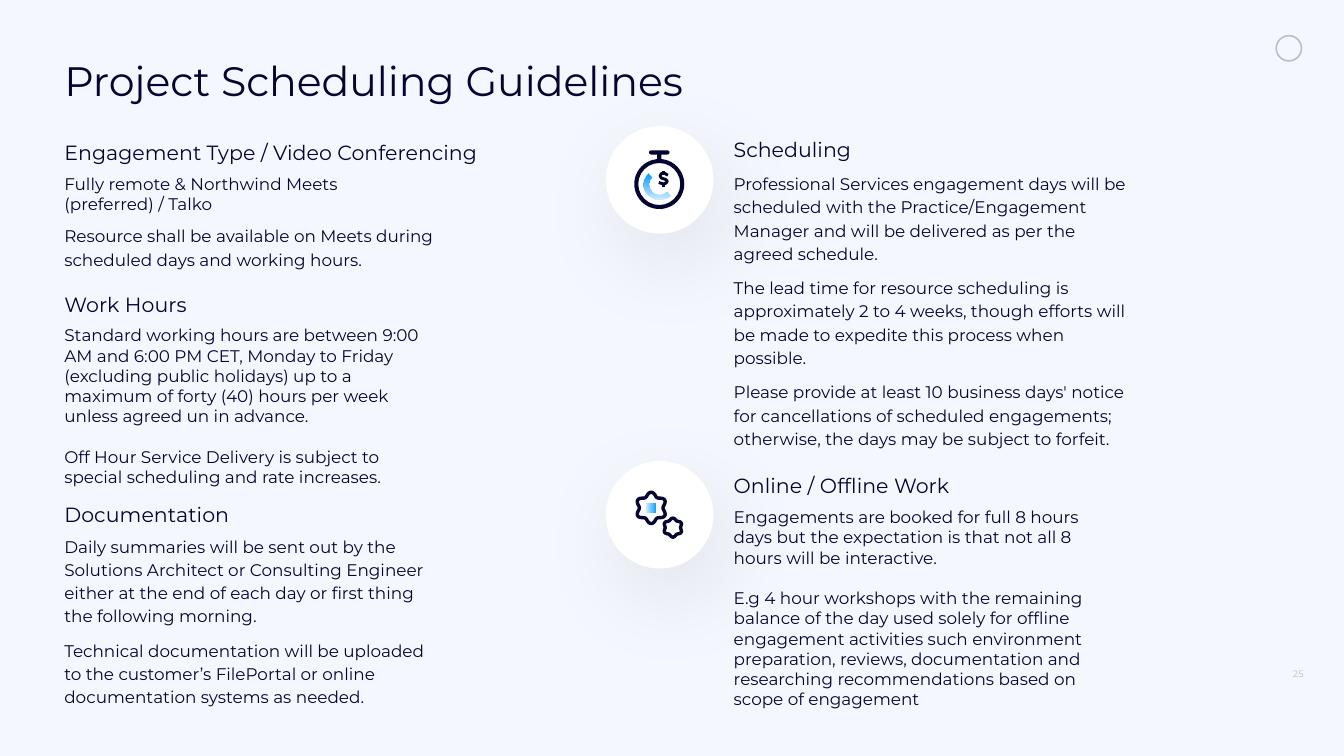
from math import cos, pi, sin

from lxml.etree import SubElement
from pptx import Presentation
from pptx.dml.color import RGBColor
from pptx.enum.shapes import MSO_SHAPE as SHAPE
from pptx.enum.text import MSO_ANCHOR as ANCHOR, MSO_AUTO_SIZE as AUTO, PP_ALIGN as ALIGN
from pptx.oxml.ns import qn
from pptx.util import Pt

NAVY, GREY, BLUE, WHITE, PALE = "040531", "BABDCE", "0099FF", "FFFFFF", "F5F7FF"
FONT = "Montserrat"


def rgb(value):
    return RGBColor.from_string(value)


def apply(obj, values):
    for name, value in values.items():
        setattr(obj, name, value)


class Deck:
    def __init__(self, width, height):
        self.prs = Presentation()
        apply(self.prs, {"slide_width": Pt(width), "slide_height": Pt(height)})
        self.s = None

    def new_slide(self, background):
        self.s = self.prs.slides.add_slide(self.prs.slide_layouts[5])
        self.s.background.fill.solid()
        self.s.background.fill.fore_color.rgb = rgb(background)

    def set_text(self, sp, lines, size, insets, color=NAVY, anchor=ANCHOR.TOP,
                 align=ALIGN.LEFT, gap=0, spacing=1.0, first_spacing=None):
        """Fill a shape with paragraphs; gap is the space between them."""
        tf = sp.text_frame
        left, top, right, bottom = (Pt(v) for v in insets)
        apply(tf, {"word_wrap": True, "auto_size": AUTO.NONE, "vertical_anchor": anchor,
                   "margin_left": left, "margin_top": top,
                   "margin_right": right, "margin_bottom": bottom})
        for i, line in enumerate(lines):
            p = tf.add_paragraph() if i else tf.paragraphs[0]
            apply(p, {"alignment": align, "space_before": Pt(gap if i else 0),
                      "line_spacing": spacing if i else first_spacing or spacing})
            r = p.add_run()
            r.text = line
            apply(r.font, {"name": FONT, "size": Pt(size), "bold": False})
            r.font.color.rgb = rgb(color)

    def title(self, box, text):
        sp = self.s.shapes.title
        apply(sp, dict(zip(("left", "top", "width", "height"), map(Pt, box))))
        self.set_text(sp, [text], 22, (0, 3.6, 7.2, 3.6))

    def text(self, box, lines, size, insets, **style):
        self.set_text(self.s.shapes.add_textbox(*map(Pt, box)), lines, size, insets, **style)

    def shape(self, kind, box, fill, adjust=()):
        sp = self.s.shapes.add_shape(kind, *map(Pt, box))
        sp.shadow.inherit = False
        for i, value in enumerate(adjust):
            sp.adjustments[i] = value
        sp.fill.solid()
        sp.fill.fore_color.rgb = rgb(fill)
        sp.line.fill.background()
        return sp

    def fade(self, sp, angle):
        """Blue gradient that starts almost transparent."""
        sp.fill.gradient()
        sp.fill.gradient_angle = angle
        for stop in sp.fill.gradient_stops:
            stop.color.rgb = rgb(BLUE)
        first = next(sp._element.spPr.iter(qn("a:srgbClr")))
        SubElement(first, qn("a:alpha"), val="16000")

    def disc(self, x, y, size):
        """White circle with a wide soft shadow."""
        sp = self.shape(SHAPE.OVAL, (x, y, size, size), WHITE)
        effects = sp._element.spPr.find(qn("a:effectLst"))
        shadow = SubElement(effects, qn("a:outerShdw"), blurRad=str(int(Pt(48.4))),
                            dist=str(int(Pt(16.5))), dir=str(68 * 60000),
                            algn="ctr", rotWithShape="0")
        color = SubElement(shadow, qn("a:srgbClr"), val="000000")
        SubElement(color, qn("a:alpha"), val="7000")

    def stroke(self, points, width, close=False):
        pts = [(Pt(x), Pt(y)) for x, y in points]
        builder = self.s.shapes.build_freeform(*pts[0], scale=1.0)
        builder.add_line_segments(pts[1:], close=close)
        sp = builder.convert_to_shape()
        sp.shadow.inherit = False
        sp.fill.background()
        sp.line.color.rgb = rgb(NAVY)
        sp.line.width = Pt(width)

    def gear(self, cx, cy, radius, tooth):
        """Six-toothed wavy outline."""
        steps = 72
        points = []
        for i in range(steps):
            a = 2 * pi * i / steps
            r = radius + tooth * cos(6 * a)
            points.append((cx + r * sin(a), cy - r * cos(a)))
        self.stroke(points, 1.8, close=True)

    def stopwatch(self, cx, cy):
        def ring_box(r):
            return cx - r, cy - r, 2 * r, 2 * r

        self.shape(SHAPE.DONUT, ring_box(13.4), NAVY, [0.08])
        self.shape(SHAPE.RECTANGLE, (cx - 1.1, cy - 16.5, 2.2, 4), NAVY)
        self.shape(SHAPE.ROUNDED_RECTANGLE, (cx - 5.5, cy - 18, 11, 2.2), NAVY, [0.5])
        # Angles of the arc: 45 to 225 degrees
        arc = self.shape(SHAPE.BLOCK_ARC, ring_box(8.3), BLUE, [27, 135, 0.18])
        self.fade(arc, 90)
        # Dollar sign
        curve = [(4.6, -4.7), (2.9, -5.7), (1.1, -5.6), (0.4, -4.3), (1.1, -3.2),
                 (3.2, -2.5), (4.3, -1.6), (3.6, -0.5), (2.2, 0), (-0.3, -0.8)]
        for part in (curve, [(2.5, -7.2), (2.5, -5.7)], [(2.5, 0), (2.5, 1.4)]):
            self.stroke([(cx + x, cy + y) for x, y in part], 1.6)


def main():
    deck = Deck(720, 405)
    deck.new_slide(PALE)
    deck.title((34.5, 26, 612.5, 33), "Project Scheduling Guidelines")

    # Corner mark and page number
    deck.shape(SHAPE.DONUT, (683.3, 18.7, 14.4, 14.4), GREY, [0.06])
    deck.text((675.4, 351.4, 23, 18.7), ["25"], 5, (7.2, 3.6, 0, 3.6),
              color=GREY, anchor=ANCHOR.MIDDLE, align=ALIGN.RIGHT)

    # Sections: heading top, body top, body height, heading, body lines, body style
    loose = {"gap": 6, "spacing": 1.15}
    one_line = {"gap": 11}
    left = [
        (75.6, 92.9, 50, "Engagement Type / Video Conferencing",
         ["Fully remote & Northwind Meets (preferred) / Talko",
          "Resource shall be available on Meets during scheduled days and working hours."],
         {"gap": 5, "spacing": 1.15, "first_spacing": 1.0}),
        (157, 174.2, 86.4, "Work Hours",
         ["Standard working hours are between 9:00 AM and 6:00 PM CET, Monday to Friday "
          "(excluding public holidays) up to a maximum of forty (40) hours per week unless "
          "agreed un in advance.",
          "Off Hour Service Delivery is subject to special scheduling and rate increases."],
         one_line),
        (269.3, 285.8, 95, "Documentation",
         ["Daily summaries will be sent out by the Solutions Architect or Consulting Engineer "
          "either at the end of each day or first thing the following morning.",
          "Technical documentation will be uploaded to the customer’s FilePortal or online "
          "documentation systems as needed."], loose),
    ]
    right = [
        (72, 90, 155, "Scheduling",
         ["Professional Services engagement days will be scheduled with the "
          "Practice/Engagement Manager and will be delivered as per the agreed schedule.",
          "The lead time for resource scheduling is approximately 2 to 4 weeks, though efforts "
          "will be made to expedite this process when possible.",
          "Please provide at least 10 business days' notice for cancellations of scheduled "
          "engagements; otherwise, the days may be subject to forfeit."], loose),
        (252, 270, 112, "Online / Offline Work",
         ["Engagements are booked for full 8 hours days but the expectation is that not all 8 "
          "hours will be interactive.",
          "E.g 4 hour workshops with the remaining balance of the day used solely for offline "
          "engagement activities such environment preparation, reviews, documentation and "
          "researching recommendations based on scope of engagement"], one_line),
    ]
    columns = [
        (left, 34.5, 242.5, (204.5,) * 3, 16, (0, 0, 3.6, 3.6), ANCHOR.MIDDLE),
        (right, 389.5, 168.5, (221, 202.5), 22, (3.6, 1.5, 3.6, 1.5), ANCHOR.TOP),
    ]
    for sections, x, head_w, body_ws, head_h, insets, anchor in columns:
        for section, body_w in zip(sections, body_ws):
            head_y, body_y, body_h, heading, lines, style = section
            deck.text((x, head_y, head_w, head_h), [heading], 11, insets, anchor=anchor)
            deck.text((x, body_y, body_w, body_h), lines, 9, insets, **style)

    # Icon discs
    for y in (67.6, 247):
        deck.disc(324.6, y, 57.6)
    deck.stopwatch(353.2, 98.6)
    deck.gear(348.9, 272.1, 7.35, 1.05)
    deck.gear(360.5, 282.7, 4.6, 0.5)
    deck.fade(deck.shape(SHAPE.RECTANGLE, (346.4, 269.8, 5, 5), BLUE), 0)

    deck.prs.save("out.pptx")


if __name__ == "__main__":
    main()
